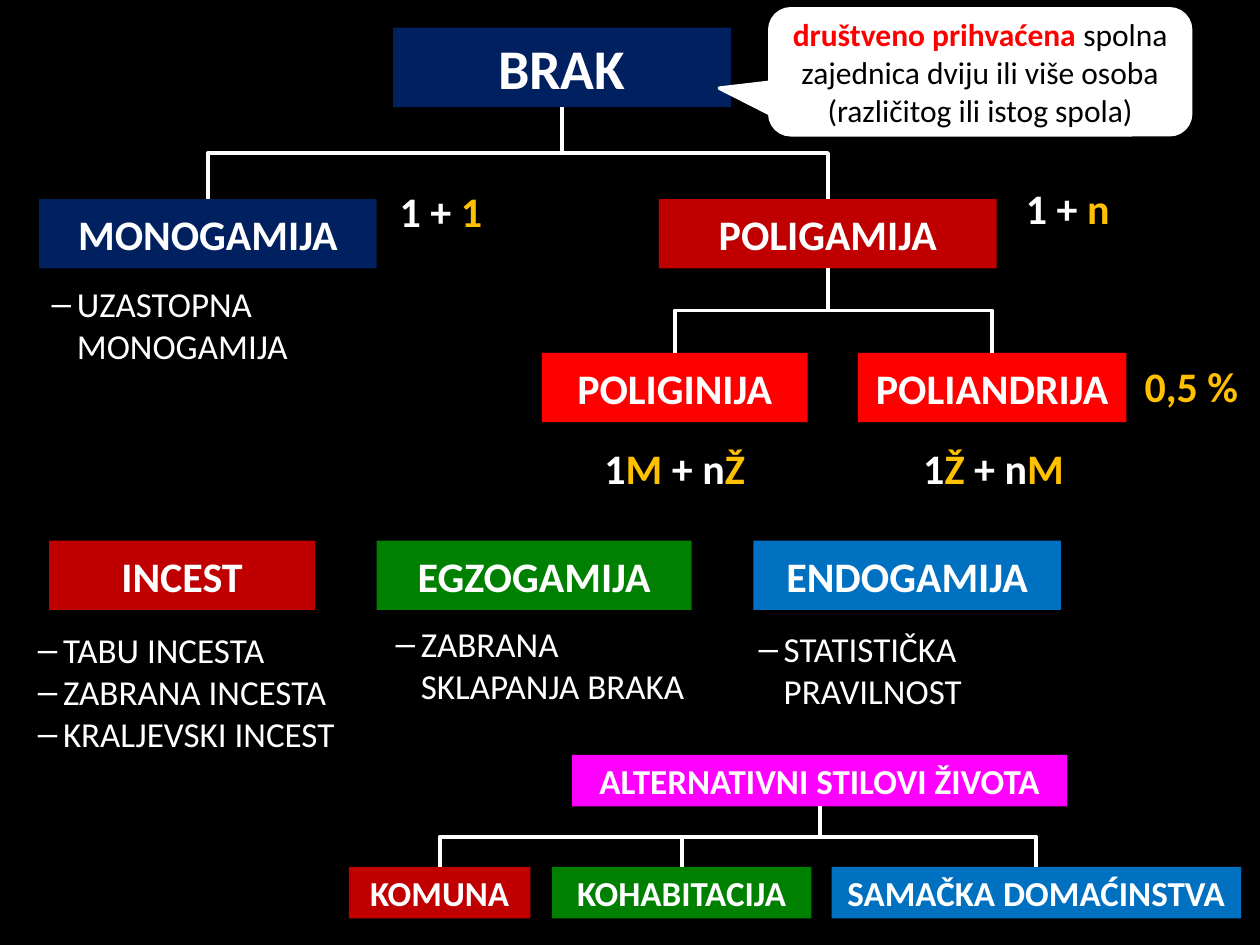
from lxml import etree
from pptx import Presentation
from pptx.dml.color import RGBColor
from pptx.enum.shapes import MSO_CONNECTOR, MSO_SHAPE
from pptx.enum.text import MSO_ANCHOR, MSO_AUTO_SIZE, PP_ALIGN
from pptx.oxml.ns import qn
from pptx.util import Inches, Pt

ELBOW = MSO_CONNECTOR.ELBOW
RECT = MSO_SHAPE.RECTANGLE
BUBBLE = MSO_SHAPE.ROUNDED_RECTANGULAR_CALLOUT
MIDDLE = MSO_ANCHOR.MIDDLE
FIXED = MSO_AUTO_SIZE.NONE
LEFT, CENTER = PP_ALIGN.LEFT, PP_ALIGN.CENTER

BLACK = RGBColor(0x00, 0x00, 0x00)
WHITE = RGBColor(0xFF, 0xFF, 0xFF)
NAVY = RGBColor(0x00, 0x20, 0x60)
CRIMSON = RGBColor(0xC0, 0x00, 0x00)
RED = RGBColor(0xFF, 0x00, 0x00)
GREEN = RGBColor(0x00, 0x80, 0x00)
BLUE = RGBColor(0x00, 0x70, 0xC0)
PINK = RGBColor(0xFF, 0x00, 0xFF)
GOLD = RGBColor(0xFF, 0xC0, 0x00)

FONT = "Calibri"
BOTTOM, TOP = 2, 0


def place(shape, x, y, w, h):
    shape.left, shape.top = Inches(x), Inches(y)
    shape.width, shape.height = Inches(w), Inches(h)


def style(para, size, bold, color=None, align=CENTER):
    para.alignment = align
    para.space_before = Pt(0)
    font = para.font
    font.name, font.size, font.bold = FONT, Pt(size), bold
    if color is not None:
        font.color.rgb = color


def label(shape, text, size, fill):
    shape.fill.solid()
    shape.fill.fore_color.rgb = fill
    frame = shape.text_frame
    frame.word_wrap = True
    frame.auto_size = FIXED
    frame.vertical_anchor = MIDDLE
    frame.text = text
    style(frame.paragraphs[0], size, True, WHITE)
    return shape


def block(slide, x, y, w, h, text, size, fill):
    shape = slide.shapes.add_shape(RECT, Inches(x), Inches(y), Inches(w), Inches(h))
    shape.shadow.inherit = False
    shape.line.fill.background()
    return label(shape, text, size, fill)


def note(slide, x, y, w, *parts):
    shape = slide.shapes.add_textbox(Inches(x), Inches(y), Inches(w), Inches(0.5))
    frame = shape.text_frame
    frame.word_wrap = False
    frame.vertical_anchor = MIDDLE
    para = frame.paragraphs[0]
    style(para, 24, True)
    for text, color in parts:
        run = para.add_run()
        run.text = text
        run.font.color.rgb = color


def points(holder, x, y, w, h, items):
    place(holder, x, y, w, h)
    frame = holder.text_frame
    frame.auto_size = FIXED
    frame.vertical_anchor = MIDDLE
    frame.text = "\n".join(items)
    for para in frame.paragraphs:
        props = para._p.get_or_add_pPr()
        props.set("marL", str(Inches(0.2)))
        props.set("indent", str(Inches(-0.2)))
        etree.SubElement(props, qn("a:buChar")).set("char", "–")
        style(para, 20, False, WHITE, LEFT)


def link(slide, upper, lower):
    x1, y1 = upper.left + upper.width // 2, upper.top + upper.height
    x2, y2 = lower.left + lower.width // 2, lower.top
    line = slide.shapes.add_connector(ELBOW, x1, y1, x2, y2)
    line.begin_connect(upper, BOTTOM)
    line.end_connect(lower, TOP)
    wide, high = abs(x2 - x1), y2 - y1
    line.left, line.top = (x1 + x2 - high) // 2, (y1 + y2 - wide) // 2
    line.width, line.height = high, wide
    right = x2 > x1
    frame = line._element.spPr.find(qn("a:xfrm"))
    frame.set("rot", str((270 if right else 90) * 60000))
    frame.set("flipH", "1" if right else "0")
    line.line.color.rgb = WHITE
    line.line.width = Pt(2.25)
    etree.SubElement(line._element.spPr, qn("a:effectLst"))


def bubble(slide, x, y, w, h):
    shape = slide.shapes.add_shape(BUBBLE, Inches(x), Inches(y), Inches(w), Inches(h))
    shape.adjustments[0], shape.adjustments[1] = -0.62, 0.13
    shape.shadow.inherit = False
    shape.fill.solid()
    shape.fill.fore_color.rgb = WHITE
    shape.line.color.rgb = WHITE
    shape.line.width = Pt(2)
    frame = shape.text_frame
    frame.word_wrap = True
    frame.vertical_anchor = MIDDLE
    para = frame.paragraphs[0]
    style(para, 18, False)
    for text, color, bold in (
        ("društveno prihvaćena ", RED, True),
        ("spolna zajednica dviju ili više osoba (različitog ili istog spola)", BLACK, False),
    ):
        run = para.add_run()
        run.text = text
        run.font.color.rgb = color
        run.font.bold = bold


def marriage(slide, title, holder, x, y):
    place(title, x + 2.81, y, 2.68, 0.63)
    root = label(title, "BRAK", 32, NAVY)
    mono, poly = (
        block(slide, x + dx, y + 1.36, 2.68, 0.55, text, 24, fill)
        for dx, text, fill in ((0, "MONOGAMIJA", NAVY), (4.92, "POLIGAMIJA", CRIMSON))
    )
    wives, men = (
        block(slide, x + dx, y + 2.58, w, 0.55, text, 24, RED)
        for dx, w, text in ((3.99, 2.11, "POLIGINIJA"), (6.5, 2.13, "POLIANDRIJA"))
    )
    for upper, lower in ((root, mono), (root, poly), (poly, wives), (poly, men)):
        link(slide, upper, lower)
    note(slide, x + 2.76, y + 1.2, 0.86, ("1 + ", WHITE), ("1", GOLD))
    note(slide, x + 7.73, y + 1.18, 0.87, ("1 + ", WHITE), ("n", GOLD))
    for dx, one, many in ((4.38, "M", "Ž"), (6.91, "Ž", "M")):
        note(slide, x + dx, y + 3.24, 1.33,
             ("1", WHITE), (one, GOLD), (" + n", WHITE), (many, GOLD))
    note(slide, x + 8.52, y + 2.59, 1.25, ("0,5 %", GOLD))
    points(holder, x, y + 1.97, 2.89, 0.77, ["UZASTOPNA MONOGAMIJA"])
    bubble(slide, x + 5.8, y - 0.15, 3.34, 1)


def rules(slide, holders, x, y):
    for dx, w, text, fill in (
        (0, 2.11, "INCEST", CRIMSON),
        (2.6, 2.5, "EGZOGAMIJA", GREEN),
        (5.59, 2.44, "ENDOGAMIJA", BLUE),
    ):
        block(slide, x + dx, y, w, 0.55, text, 24, fill)
    lists = (
        (-0.19, 0.64, 2.97, 1.11, ["TABU INCESTA", "ZABRANA INCESTA", "KRALJEVSKI INCEST"]),
        (2.65, 0.43, 2.7, 1.11, ["ZABRANA SKLAPANJA BRAKA"]),
        (5.53, 0.64, 2.11, 0.77, ["STATISTIČKA PRAVILNOST"]),
    )
    for holder, (dx, dy, w, h, items) in zip(holders, lists):
        points(holder, x + dx, y + dy, w, h, items)


def styles(slide, x, y):
    root = block(slide, x + 1.77, y, 3.93, 0.41, "ALTERNATIVNI STILOVI ŽIVOTA", 20, PINK)
    for dx, w, text, fill in (
        (0, 1.44, "KOMUNA", CRIMSON),
        (1.61, 2.06, "KOHABITACIJA", GREEN),
        (3.83, 3.25, "SAMAČKA DOMAĆINSTVA", BLUE),
    ):
        link(slide, root, block(slide, x + dx, y + 0.89, w, 0.41, text, 20, fill))


def main():
    deck = Presentation()
    deck.slide_width, deck.slide_height = Inches(10), Inches(7.5)
    slide = deck.slides.add_slide(deck.slide_layouts[4])
    slide.background.fill.solid()
    slide.background.fill.fore_color.rgb = BLACK
    title, first, *rest = slide.placeholders
    marriage(slide, title, first, 0.31, 0.22)
    rules(slide, rest, 0.39, 4.29)
    styles(slide, 2.77, 5.99)
    deck.save("out.pptx")


if __name__ == "__main__":
    main()
